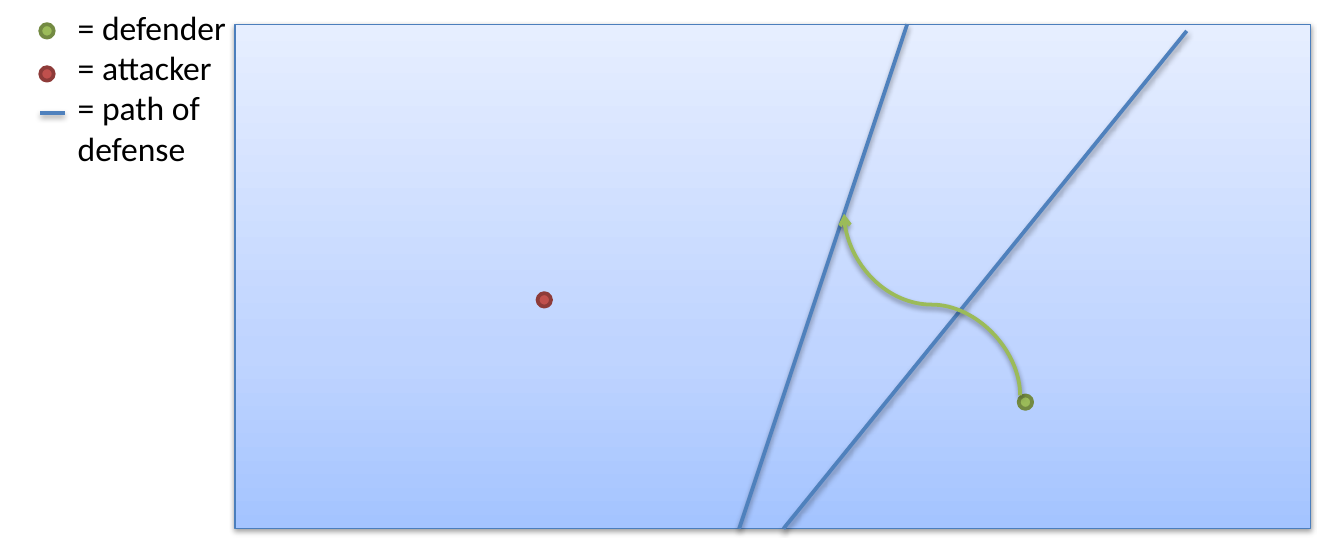
"""Build a field diagram of a defender crossing the path of defense."""
from copy import deepcopy

from lxml import etree
from pptx import Presentation
from pptx import util as u
from pptx.dml.color import RGBColor
from pptx.enum import shapes, text
from pptx.oxml.ns import qn

THEME = {
    "font": "Calibri", "size": 18, "ink": "000000",
    "field": [(0, "A4C4FF"), (0.35, "BFD4FF"), (1, "E6EEFF")], "border": "4B7EBC",
    "defender": ("9BBB59", "738A42"), "attacker": ("C0504D", "8E3B39"),
    "path": "4F81BD", "run": "9BBB59", "thin": 0.75, "thick": 2,
}

deck = Presentation()
deck.slide_width, deck.slide_height = u.Inches(10), u.Inches(4)
page = deck.slides.add_slide(deck.slide_layouts[6])
cell = deck.slide_width // 100


def write_lines(box, lines, *, font, size, color):
    """Fill a box with one formatted paragraph for each line."""
    frame = box.text_frame
    frame.word_wrap = True
    frame.auto_size = text.MSO_AUTO_SIZE.SHAPE_TO_FIT_TEXT
    for index, line in enumerate(lines):
        para = frame.paragraphs[0] if index == 0 else frame.add_paragraph()
        span = para.add_run()
        span.text = line
        span.font.name, span.font.size = font, u.Pt(size)
        span.font.color.rgb = RGBColor.from_string(color)


def outline(shape, color, weight, shadow=True):
    """Set the line of a shape and its soft shadow below."""
    shape.line.color.rgb = RGBColor.from_string(color)
    shape.line.width = u.Pt(weight)
    effects = etree.SubElement(shape._element.spPr, qn("a:effectLst"))
    if shadow:
        outer = etree.SubElement(effects, qn("a:outerShdw"), blurRad=str(u.Pt(3.1)),
                                 dist=str(u.Pt(1.6)), dir="5400000", rotWithShape="0")
        black = etree.SubElement(outer, qn("a:srgbClr"), val="000000")
        etree.SubElement(black, qn("a:alpha"), val="38000")


field = page.shapes.add_shape(shapes.MSO_SHAPE.RECTANGLE,
                              *[int(n * cell) for n in (17.5, 1.8, 80, 37.5)])
field.fill.gradient()
field.fill.gradient_angle = 90
stop_list = field._element.spPr.find(".//" + qn("a:gsLst"))
stop_list.append(deepcopy(stop_list[-1]))
for stop, (position, color) in zip(field.fill.gradient_stops, THEME["field"]):
    stop.position = position
    stop.color.rgb = RGBColor.from_string(color)
outline(field, THEME["border"], THEME["thin"])

for role, left, top in [("defender", 75.8, 29.4), ("attacker", 40, 21.8),
                        ("defender", 3, 1.8), ("attacker", 3, 5)]:
    dot = page.shapes.add_shape(shapes.MSO_SHAPE.OVAL,
                                *[int(n * cell) for n in (left, top, 1, 1)])
    fill, edge = THEME[role]
    dot.fill.solid()
    dot.fill.fore_color.rgb = RGBColor.from_string(fill)
    outline(dot, edge, THEME["thick"], shadow=False)

legend = page.shapes.add_textbox(*[int(n * cell) for n in (4.8, 0, 16.5, 13.1)])
write_lines(legend, ["= defender", "= attacker", "= path of defense"],
            font=THEME["font"], size=THEME["size"], color=THEME["ink"])

for ends in [(58.3, 39.3, 88.3, 2.3), (67.5, 1.8, 55, 39.3), (4.8, 8.4, 3, 8.4)]:
    path = page.shapes.add_connector(shapes.MSO_CONNECTOR.STRAIGHT,
                                     *[int(n * cell) for n in ends])
    outline(path, THEME["path"], THEME["thick"])

run = page.shapes.add_connector(shapes.MSO_CONNECTOR.CURVE,
                                *[int(n * cell) for n in (62.6, 29.2, 76.1, 16.1)])
run.rotation = 270
outline(run, THEME["run"], THEME["thick"])
etree.SubElement(run.line._get_or_add_ln(), qn("a:tailEnd"), type="arrow")

deck.save("out.pptx")
